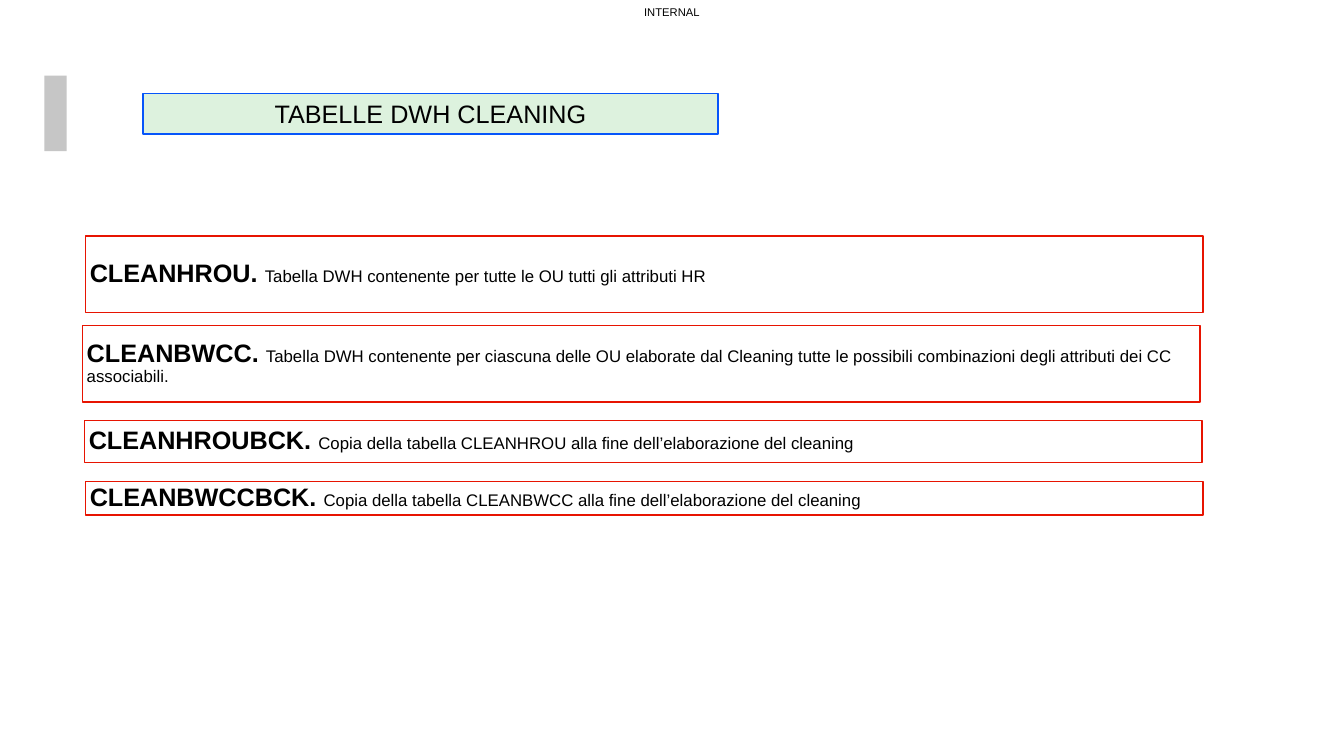
from pptx import Presentation
from pptx.dml.color import RGBColor
from pptx.enum.shapes import MSO_SHAPE as Form
from pptx.enum.text import MSO_ANCHOR as Anchor, PP_ALIGN as Align
from pptx.util import Pt

PX = 9144
BLACK = RGBColor(0x00, 0x00, 0x00)
WHITE = RGBColor(0xFF, 0xFF, 0xFF)
GRAY = RGBColor(0xC6, 0xC6, 0xC6)
GREEN = RGBColor(0xDD, 0xF2, 0xDE)
BLUE = RGBColor(0x06, 0x55, 0xFA)
RED = RGBColor(0xE7, 0x14, 0x01)

LEFT, WIDE = 85, 1108
TABLES = [
    (LEFT, 234, 76, "CLEANHROU. ",
     "Tabella DWH contenente per tutte le OU tutti gli attributi HR"),
    (LEFT - 3, 323, 76, "CLEANBWCC. ",
     "Tabella DWH contenente per ciascuna delle OU elaborate dal Cleaning "
     "tutte le possibili combinazioni degli attributi dei CC associabili."),
    (LEFT - 1, 417, 42, "CLEANHROUBCK. ",
     "Copia della tabella CLEANHROU alla fine dell’elaborazione del cleaning"),
    (LEFT, 478, 33, "CLEANBWCCBCK. ",
     "Copia della tabella CLEANBWCC alla fine dell’elaborazione del cleaning"),
]


def scale(*sizes):
    return [size * PX for size in sizes]


def add_box(slide, area, fill, line=None, form=Form.RECTANGLE):
    box = slide.shapes.add_shape(form, *scale(*area))
    box.shadow.inherit = False
    box.fill.solid()
    box.fill.fore_color.rgb = fill
    if line is None:
        box.line.fill.background()
    else:
        box.line.color.rgb = line
        box.line.width = Pt(1)
    return box


def add_text(shape, runs, align, inset, wrap=True):
    frame = shape.text_frame
    frame.word_wrap = wrap
    frame.vertical_anchor = Anchor.MIDDLE
    frame.margin_left = frame.margin_right = inset * PX
    frame.margin_top = frame.margin_bottom = inset * PX
    para = frame.paragraphs[0]
    para.alignment = align
    for text, size, bold in runs:
        run = para.add_run()
        run.text = text
        run.font.name = "Arial"
        run.font.size = Pt(size)
        run.font.bold = bold
        run.font.color.rgb = BLACK
    return para


def add_label(slide):
    label = slide.shapes.add_textbox(*scale(626, 0, 81, 24))
    add_text(label, [("INTERNAL", 8, False)], Align.CENTER, 0, False)


def add_title(slide):
    title = add_box(slide, (142, 93, 570, 40), GREEN, BLUE)
    add_text(title, [("TABELLE DWH CLEANING", 18, False)], Align.CENTER, 5)


def add_entry(slide, left, top, high, name, note):
    entry = add_box(slide, (left, top, WIDE, high), WHITE, RED,
                    Form.FLOWCHART_PROCESS)
    runs = [(name, 18, True), (note, 12, False)]
    para = add_text(entry, runs, Align.LEFT, 4)
    para.line_spacing = 0.9


def main():
    deck = Presentation()
    deck.slide_width, deck.slide_height = scale(1333, 750)
    slide = deck.slides.add_slide(deck.slide_layouts[6])
    add_box(slide, (44, 75, 22, 75), GRAY)
    add_label(slide)
    add_title(slide)
    for table in TABLES:
        add_entry(slide, *table)
    deck.save("out.pptx")


if __name__ == "__main__":
    main()
